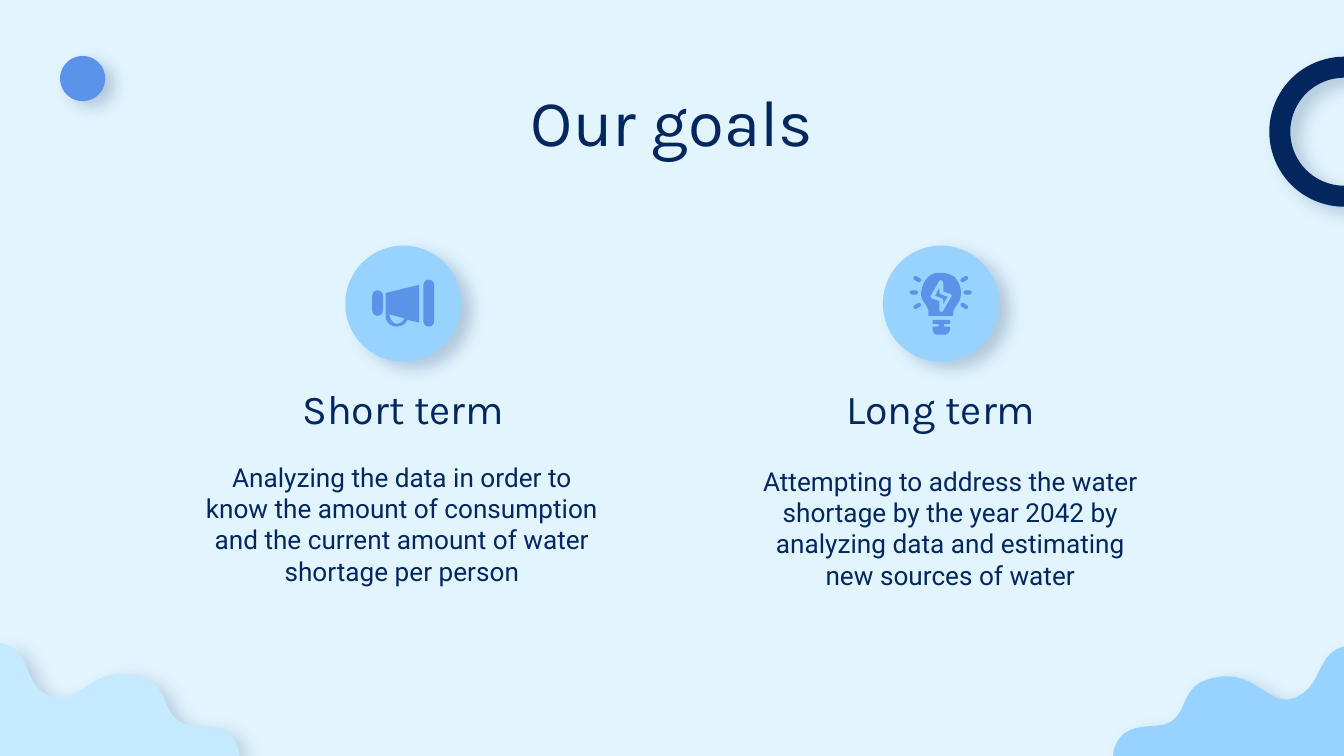
"""Build the "Our goals" slide with two round icons above their texts."""
import dataclasses
import itertools
from typing import Optional

import pptx
import pptx.dml.color
import pptx.enum.shapes
import pptx.enum.text
import pptx.oxml
import pptx.oxml.ns
import pptx.util

Pt = pptx.util.Pt
Kind = pptx.enum.shapes.MSO_SHAPE
Anchor = pptx.enum.text.MSO_ANCHOR
NAVY, BLUE, SKY, PALE, BACK = "02275E", "5B93E9", "98D2FF", "C5EAFF", "E2F5FF"
STEPS = 10


@dataclasses.dataclass
class Shade:
    alpha: int
    blur: float
    dist: float
    angle: int


@dataclasses.dataclass
class Goal:
    head: str
    left: float
    body: str
    body_left: float
    body_top: float
    disc: float


WAVE = Shade(20, 10.1, 6, 33)
DISC = Shade(21, 9, 6.8, 33)

GOALS = [
    Goal("Short term", 101.5, "Analyzing the data in order to know the amount of consumption "
         "and the current amount of water shortage per person", 100.8, 239.8, 185),
    Goal("Long term", 389.5, "Attempting to address the water shortage by the year 2042 by "
         "analyzing data and estimating new sources of water", 394.6, 241.9, 473),
]

RIGHT = [[(596.2, 405), (598, 388.8, 611.3, 389.5, 619.2, 388.8),
          (638.6, 388, 629.3, 368.6, 648, 363.6), (673.2, 356.4, 679, 380.2, 694, 373.7),
          (709.2, 367.2, 704.9, 349.9, 720, 346.3), (720, 405)]]
LEFT = [[(128.2, 405), (126.7, 388, 112.3, 388.8, 104.4, 388.8),
         (84.2, 387.4, 93.6, 367.2, 74.9, 362.2), (48.2, 355, 42.5, 379.4, 26.6, 373),
         (10.8, 365.8, 18, 347.8, 0, 344.2), (0, 405)]]
BULB = [
    [(504, 146.2), (503.3, 146.2, 502.6, 146.2, 501.8, 146.2),
     (497.5, 146.9, 494.6, 150.5, 493.9, 154.8), (492.5, 159.1, 494.6, 161.3, 496.1, 163.4),
     (498.2, 167, 496.8, 167, 497.5, 169.2), (510.5, 169.2),
     (511.2, 167, 509.8, 167, 512.6, 163.4), (514.1, 161.3, 514.8, 159.8, 514.8, 157),
     (514.8, 153.4, 513.4, 150.5, 511.2, 148.3), (509, 146.9, 506.9, 146.2, 504, 146.2)],
    [(504, 149.8), (505.4, 151.2), (505.4, 156.2), (509.6, 157.6), (509.9, 158.6), (505, 167),
     (504, 167.2), (503.2, 166.3), (503.2, 161.3), (499, 159.8), (498.4, 158.8), (503.2, 150.4)],
    [(503.3, 154.1), (501, 158.4), (504.6, 159.8), (505.4, 160.6), (505.4, 162.8),
     (507.6, 159), (504, 157.7), (503.3, 157)],
]
BASE = [[(499.7, 171.4), (499.7, 173.5), (502.6, 173.5), (503.3, 174.2), (502.6, 175),
         (499.7, 175), (499.7, 175.7), (499.7, 177.8, 500.4, 179.3, 502.6, 179.3),
         (506.2, 179.3), (507.6, 179.3, 509, 177.8, 509, 175.7), (509, 175), (506.2, 175),
         (505.4, 174.2), (506.2, 173.5), (509, 173.5), (509, 171.4)]]
HORN = [
    [(224.6, 152.6), (206.6, 157), (206.6, 168.5), (207.4, 168.5), (206.6, 169.2),
     (206.6, 172.8, 209.5, 175, 212.4, 175), (215.3, 175, 217.4, 173.5, 218.2, 171.4),
     (224.6, 172.8)],
    [(208.8, 168.5), (216.7, 170.6), (216, 172.1, 214.6, 173.5, 212.4, 173.5),
     (211, 173.5, 208.8, 171.4, 208.8, 169.2)],
]


def tint(code: str) -> pptx.dml.color.RGBColor:
    """Turn a hex string into a colour."""
    return pptx.dml.color.RGBColor.from_string(code)


def paint(shape, code: str, shade: Optional[Shade] = None) -> None:
    """Fill a shape, drop its line and set its shadow."""
    shape.fill.solid()
    shape.fill.fore_color.rgb = tint(code)
    shape.line.fill.background()
    shape.shadow.inherit = False
    if shade:
        effects = shape.element.spPr.find(pptx.oxml.ns.qn("a:effectLst"))
        effects.append(pptx.oxml.parse_xml(
            f'<a:outerShdw {pptx.oxml.ns.nsdecls("a")} blurRad="{Pt(shade.blur)}" '
            f'dist="{Pt(shade.dist)}" dir="{shade.angle * 60000}" algn="bl" rotWithShape="0">'
            f'<a:srgbClr val="{NAVY}"><a:alpha val="{shade.alpha * 1000}"/></a:srgbClr>'
            '</a:outerShdw>'))


def stamp(slide, kind, box: tuple, code: str, shade: Optional[Shade] = None):
    """Add a painted preset shape."""
    shape = slide.shapes.add_shape(kind, *map(Pt, box))
    paint(shape, code, shade)
    return shape


def trace(nodes: list) -> list:
    """Flatten lines and cubic curves into points."""
    points = [nodes[0]]
    for node in nodes[1:]:
        if len(node) == 2:
            points.append(node)
            continue
        ends = [points[-1], node[:2], node[2:4], node[4:]]
        for step in range(1, STEPS + 1):
            t = step / STEPS
            parts = ((1 - t) ** 3, 3 * t * (1 - t) ** 2, 3 * t * t * (1 - t), t ** 3)
            points.append(tuple(sum(p * e[i] for p, e in zip(parts, ends)) for i in (0, 1)))
    return [(Pt(x), Pt(y)) for x, y in points]


def carve(slide, rings: list, code: str, shade: Optional[Shade] = None) -> None:
    """Add a painted outline made of one or more closed rings."""
    first, *rest = map(trace, rings)
    pen = slide.shapes.build_freeform(*first[0], scale=1.0)
    pen.add_line_segments(first[1:], close=True)
    for ring in rest:
        pen.move_to(*ring[0])
        pen.add_line_segments(ring[1:], close=True)
    paint(pen.convert_to_shape(), code, shade)


def write(shape, text: str, size: float, font: str, anchor=Anchor.TOP):
    """Set centred text in a shape and return its paragraph."""
    frame = shape.text_frame
    frame.word_wrap = True
    frame.auto_size = pptx.enum.text.MSO_AUTO_SIZE.NONE
    frame.vertical_anchor = anchor
    frame.margin_left = frame.margin_right = frame.margin_top = frame.margin_bottom = Pt(7.2)
    line = frame.paragraphs[0]
    line.text = text
    line.alignment = pptx.enum.text.PP_ALIGN.CENTER
    line.font.size, line.font.name = Pt(size), font
    line.font.color.rgb = tint(NAVY)
    return line


def main() -> None:
    """Draw the slide and save it."""
    deck = pptx.Presentation()
    deck.slide_width, deck.slide_height = Pt(720), Pt(405)
    slide = deck.slides.add_slide(deck.slide_layouts.get_by_name("Title Only"))
    slide.background.fill.solid()
    slide.background.fill.fore_color.rgb = tint(BACK)

    ring = stamp(slide, Kind.DONUT, (680, 30.4, 80.4, 80.4), NAVY, Shade(21, 10.1, 6.8, 34))
    ring.adjustments[0] = 0.14
    stamp(slide, Kind.OVAL, (32.2, 30, 24.2, 24.2), BLUE, Shade(21, 9, 6, 33))
    carve(slide, RIGHT, SKY, WAVE)
    carve(slide, LEFT, PALE, WAVE)

    title = slide.shapes.title
    title.left, title.top, title.width, title.height = map(Pt, (56.2, 42.5, 607.7, 49.7))
    write(title, "Our goals", 35, "Karla").line_spacing = 0.85

    for goal in GOALS:
        body = slide.shapes.add_textbox(*map(Pt, (goal.body_left, goal.body_top, 229, 99.4)))
        write(body, goal.body, 14, "Roboto")
        head = slide.shapes.add_textbox(*map(Pt, (goal.left, 204.5, 229, 34.6)))
        write(head, goal.head, 22, "Karla", Anchor.BOTTOM)
        stamp(slide, Kind.OVAL, (goal.disc, 131.6, 62.2, 62.2), SKY, DISC)

    rays = [(14.4, 0, 0), (12.6, -7.2, -30), (12.6, 7.2, 30)]
    for side, (dx, dy, turn) in itertools.product((-1, 1), rays):
        ray = stamp(slide, Kind.ROUNDED_RECTANGLE,
                    (504 + side * dx - 2.2, 156.7 + dy - 1.1, 4.4, 2.2), BLUE)
        ray.adjustments[0] = 0.5
        ray.rotation = side * turn
    carve(slide, BULB, BLUE)
    carve(slide, BASE, BLUE)

    for box in ((199.4, 155.5, 5.8, 13.7), (226.8, 149.8, 5.8, 25.2)):
        stamp(slide, Kind.ROUNDED_RECTANGLE, box, BLUE).adjustments[0] = 0.5
    carve(slide, HORN, BLUE)
    deck.save("out.pptx")


if __name__ == "__main__":
    main()
